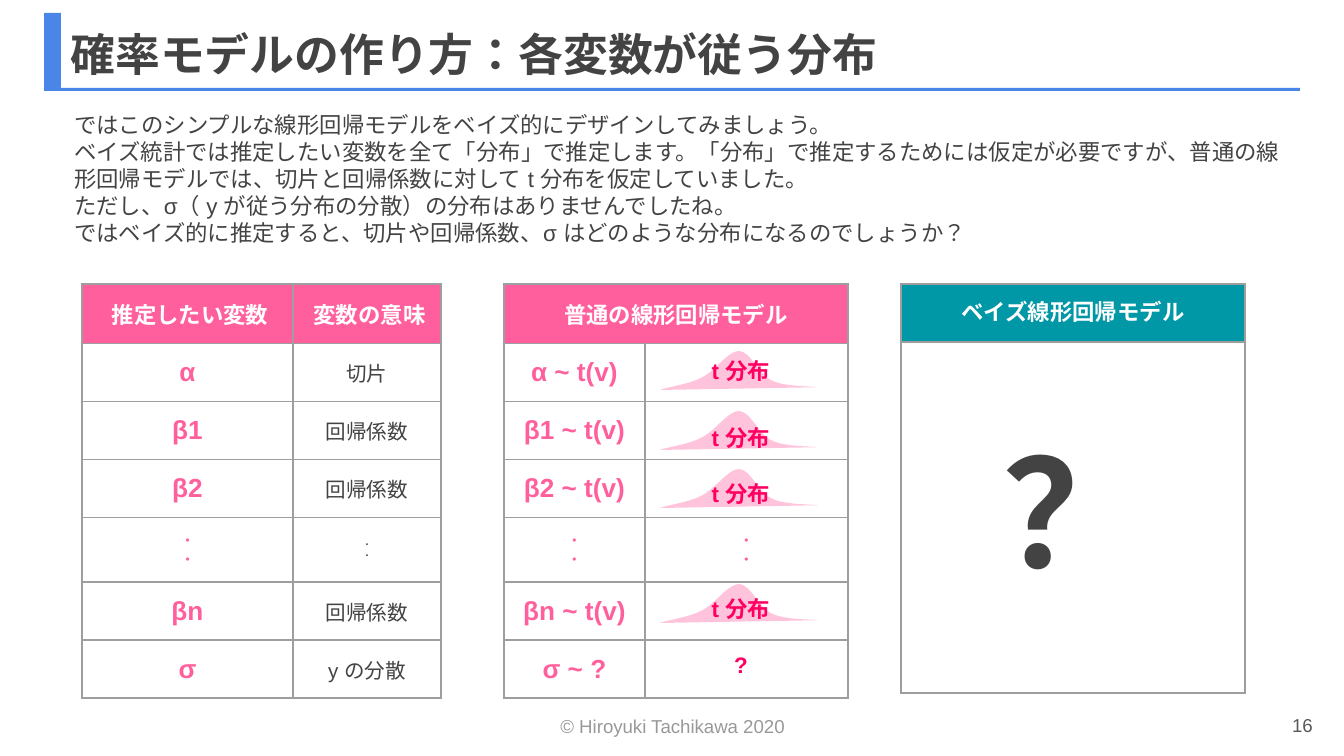
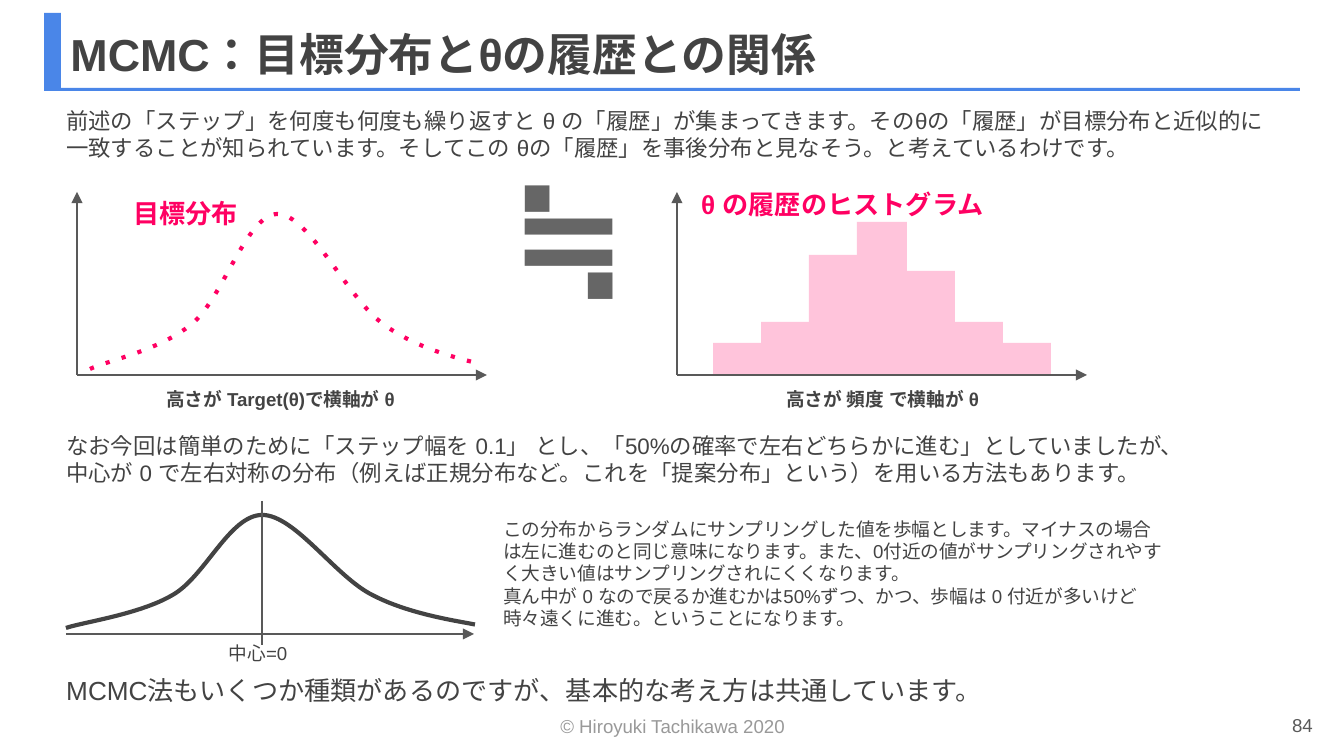
import pptx
import pptx.dml.color
import pptx.enum.lang
import pptx.enum.shapes
import pptx.enum.text
import pptx.oxml.ns
import pptx.util
from lxml import etree

EMU_PER_PX = 914400 / 134.4
ALIGN = pptx.enum.text.PP_ALIGN
ANCHOR = pptx.enum.text.MSO_ANCHOR
LANGUAGE = pptx.enum.lang.MSO_LANGUAGE_ID
RECT = pptx.enum.shapes.MSO_SHAPE.RECTANGLE
STRAIGHT = pptx.enum.shapes.MSO_CONNECTOR.STRAIGHT
qn = pptx.oxml.ns.qn

INK, GRAY, AXIS, BORDER, WHITE = "434343", "999999", "595959", "9E9E9E", "FFFFFF"
BLUE, PINK, PALE, MAGENTA, TEAL = "4A86E8", "FF609D", "FFC4DB", "FF0062", "0097A7"
SANS, CJK = "Arial", "Noto Sans CJK JP"

BANDS = [(44, 13, 17, 76), (44, 88, 1256, 3)]
FOOTER = "©︎ Hiroyuki Tachikawa 2020"
TITLE_BOX = (57, 16, 1253, 75)
BODY = {"size": 12, "anchor": ANCHOR.TOP}
NOTE = {"size": 10, "align": ALIGN.CENTER}
CAPTION = {**NOTE, "bold": True}
LABEL = {"size": 12, "color": MAGENTA, "bold": True, "align": ALIGN.CENTER}
HEADING = {"size": 14, "color": MAGENTA, "bold": True}
HEADER = {"size": 12, "color": WHITE, "bold": True, "align": ALIGN.CENTER}
SYMBOL = {"size": 14, "color": PINK, "bold": True, "align": ALIGN.CENTER}
MEANING = {"size": 11, "align": ALIGN.CENTER}
DOTS = "・\n・"
PINK_DOTS = {**SYMBOL, "size": 7}
SMALL_DOTS = {**MEANING, "size": 4, "bold": True}

MODEL_INTRO = """ではこのシンプルな線形回帰モデルをベイズ的にデザインしてみましょう。
ベイズ統計では推定したい変数を全て「分布」で推定します。「分布」で推定するためには仮定が必要ですが、普通の線形回帰モデルでは、切片と回帰係数に対して t 分布を仮定していました。
ただし、σ（ y が従う分布の分散）の分布はありませんでしたね。
ではベイズ的に推定すると、切片や回帰係数、σ はどのような分布になるのでしょうか？"""
VARIABLES = [
    ("α", "切片"), ("β1", "回帰係数"), ("β2", "回帰係数"),
    (DOTS, DOTS), ("βn", "回帰係数"), ("σ", "y の分散"),
]
MODELS = ["α ~ t(v)", "β1 ~ t(v)", "β2 ~ t(v)", DOTS, "βn ~ t(v)", "σ ~ ?"]
VARIABLE_ROWS = [58, 58, 58, 58, 59, 58, 58]
T_BELL_TOPS = [351, 411, 469, 584]
T_LABELS = [("t 分布", 361), ("t 分布", 428), ("t 分布", 484),
            ("t 分布", 599), ("?", 655)]

HISTORY_INTRO = "前述の「ステップ」を何度も何度も繰り返すと θ の「履歴」が集まってきます。そのθの「履歴」が目標分布と近似的に一致することが知られています。そしてこの θの「履歴」を事後分布と見なそう。と考えているわけです。"
PROPOSAL = """なお今回は簡単のために「ステップ幅を 0.1」 とし、「50%の確率で左右どちらかに進む」としていましたが、
中心が 0 で左右対称の分布（例えば正規分布など。これを「提案分布」という）を用いる方法もあります。"""
STRIDE = """この分布からランダムにサンプリングした値を歩幅とします。マイナスの場合は左に進むのと同じ意味になります。また、0付近の値がサンプリングされやすく大きい値はサンプリングされにくくなります。
真ん中が 0 なので戻るか進むかは50%ずつ、かつ、歩幅は 0 付近が多いけど時々遠くに進む。ということになります。"""
HISTORY_TEXTS = [
    (HISTORY_INTRO, (53, 89, 1236, 90), {"size": 12}),
    ("目標分布", (120, 195, 160, 36), HEADING),
    ("θ の履歴のヒストグラム", (688, 186, 372, 36), HEADING),
    ("高さが Target(θ)で横軸が θ", (75, 377, 411, 44), CAPTION),
    ("高さが 頻度 で横軸が θ", (677, 377, 411, 44), CAPTION),
    (PROPOSAL, (53, 419, 1236, 75), BODY),
    ("中心=0", (182, 635, 152, 36), NOTE),
    (STRIDE, (490, 504, 690, 153), {"size": 10, "anchor": ANCHOR.TOP}),
    ("MCMC法もいくつか種類があるのですが、基本的な考え方は共通しています。",
     (53, 672, 1236, 36), {"size": 14}),
]
BAR_HEIGHTS = [33, 54, 121, 154, 105, 54, 33]
BAR_LEFT, BAR_STEP, BAR_WIDTH, BAR_BOTTOM = 713, 48, 50, 376
ARROWS = [
    (77, 375, 487, 375), (77, 375, 77, 192),
    (677, 375, 1087, 375), (677, 375, 677, 192),
    (66, 634, 474, 634),
]

BELL = [(0, 100), (4, 95), (18, 88), (26, 71), (34, 55), (40, 0), (48, 0),
        (56, 0), (66, 55), (75, 71), (84, 88), (96, 94), (100, 97)]
T_BELL = [(0, 100), (4, 93), (18, 86), (26, 69), (35, 52), (43, 0), (50, 0),
          (58, 2), (62, 61), (71, 76), (79, 92), (95, 90), (100, 93)]


def px(length):
    return pptx.util.Emu(round(length * EMU_PER_PX))


def rgb(color):
    return pptx.dml.color.RGBColor.from_string(color)


def set_all(target, values):
    for key, value in values.items():
        setattr(target, key, value)


def margins():
    return dict.fromkeys(
        ("margin_left", "margin_right", "margin_top", "margin_bottom"),
        pptx.util.Inches(0.1))


def write(frame, text, size, color=INK, bold=False, align=ALIGN.LEFT,
          latin=SANS, cjk=SANS, language=LANGUAGE.JAPANESE):
    for place, paragraph_text in enumerate(text.split("\n")):
        paragraph = frame.add_paragraph() if place else frame.paragraphs[0]
        paragraph.alignment = align
        run = paragraph.add_run()
        run.text = paragraph_text
        set_all(run.font, {"size": pptx.util.Pt(size), "bold": bold,
                           "name": latin, "language_id": language})
        run.font.color.rgb = rgb(color)
        run._r.rPr.find(qn("a:latin")).addnext(
            etree.Element(qn("a:ea"), typeface=cjk))


def fill_frame(frame, text, anchor=ANCHOR.MIDDLE, **look):
    set_all(frame, {
        **margins(), "word_wrap": True, "vertical_anchor": anchor,
        "auto_size": pptx.enum.text.MSO_AUTO_SIZE.NONE,
    })
    write(frame, text, **look)


def add_text(slide, text, box, **look):
    frame = slide.shapes.add_textbox(*map(px, box)).text_frame
    fill_frame(frame, text, **look)
    return frame


def add_block(slide, box, color):
    block = slide.shapes.add_shape(RECT, *map(px, box))
    block.shadow.inherit = False
    block.fill.solid()
    block.fill.fore_color.rgb = rgb(color)
    block.line.fill.background()
    return block


def add_line(slide, ends, width, arrow=False):
    line = slide.shapes.add_connector(STRAIGHT, *map(px, ends))
    line.line.color.rgb = rgb(AXIS)
    line.line.width = pptx.util.Pt(width)
    properties = line.element.spPr
    if arrow:
        etree.SubElement(properties.find(qn("a:ln")), qn("a:tailEnd"), type="triangle")
    etree.SubElement(properties, qn("a:effectLst"))


def round_segments(curve):
    segments = list(curve.element.iter(qn("a:lnTo")))
    for first in range(0, len(segments), 3):
        bend = etree.Element(qn("a:cubicBezTo"))
        segments[first].addprevious(bend)
        for segment in segments[first:first + 3]:
            bend.append(segment[0])
            segment.getparent().remove(segment)


def add_curve(slide, controls, box, fill=None, line=None, dash=None):
    left, top, width, height = box
    points = [(px(left + x * width / 100), px(top + y * height / 100))
              for x, y in controls]
    builder = slide.shapes.build_freeform(*points[0])
    builder.add_line_segments(points[1:], close=False)
    curve = builder.convert_to_shape()
    round_segments(curve)
    curve.shadow.inherit = False
    if fill:
        curve.fill.solid()
        curve.fill.fore_color.rgb = rgb(fill)
        curve.line.fill.background()
    else:
        curve.fill.background()
        curve.line.color.rgb = rgb(line)
        curve.line.width = pptx.util.Pt(2.25)
    if dash:
        etree.SubElement(curve.element.spPr.find(qn("a:ln")), qn("a:prstDash"), val=dash)


def add_borders(cell):
    properties = cell._tc.get_or_add_tcPr()
    for place, side in enumerate(("lnL", "lnR", "lnT", "lnB")):
        border = etree.Element(qn(f"a:{side}"), w=str(pptx.util.Pt(0.75)))
        solid = etree.SubElement(border, qn("a:solidFill"))
        etree.SubElement(solid, qn("a:srgbClr"), val=BORDER)
        properties.insert(place, border)


def add_grid(slide, left, widths, heights, rows, header_fill, cjk=CJK, merged=()):
    table = slide.shapes.add_table(
        len(heights), len(widths), px(left), px(284),
        px(sum(widths)), px(sum(heights))).table
    set_all(table, {"first_row": False, "horz_banding": False})
    for column, width in zip(table.columns, widths):
        column.width = px(width)
    for row, height in zip(table.rows, heights):
        row.height = px(height)
    for r, row in enumerate(rows):
        for c, (text, look) in enumerate(row):
            cell = table.cell(r, c)
            if r:
                cell.fill.background()
            else:
                cell.fill.solid()
                cell.fill.fore_color.rgb = rgb(header_fill)
            add_borders(cell)
            set_all(cell, {**margins(), "vertical_anchor": ANCHOR.MIDDLE})
            if text:
                write(cell.text_frame, text, cjk=cjk, **look)
            else:
                etree.SubElement(cell.text_frame.paragraphs[0]._p,
                                 qn("a:endParaRPr"), sz="1200")
    for r in merged:
        table.cell(r, 0).merge(table.cell(r, 1))


def prepare_layout(layout, slide):
    for holder in list(layout.placeholders):
        if holder.placeholder_format.idx:
            holder.element.getparent().remove(holder.element)
    set_all(layout.placeholders[0],
            dict(zip(("left", "top", "width", "height"), map(px, TITLE_BOX))))
    for band in BANDS:
        layout.shapes.element.append(add_block(slide, band, BLUE).element)
    add_text(slide, FOOTER, (91, 708, 1163, 36), size=10, color=GRAY, align=ALIGN.CENTER)
    layout.shapes.element.append(slide.shapes[-1].element)


def start_slide(slide, title, number):
    fill_frame(slide.shapes.title.text_frame, title, size=24, bold=True)
    add_text(slide, number, (1245, 707, 81, 36), size=10, color=AXIS, align=ALIGN.RIGHT)


def build_models(slide):
    start_slide(slide, "確率モデルの作り方：各変数が従う分布", "16")
    add_text(slide, MODEL_INTRO, (61, 98, 1238, 148), **BODY)
    empty = ("", {})
    variables = [[(" 推定したい変数", HEADER), (" 変数の意味", HEADER)]]
    models = [[("普通の線形回帰モデル", HEADER), empty]]
    for (symbol, meaning), model in zip(VARIABLES, MODELS):
        dots = symbol == DOTS
        look = PINK_DOTS if dots else SYMBOL
        variables.append([(symbol, look), (meaning, SMALL_DOTS if dots else MEANING)])
        models.append([(model, look), (DOTS, look) if dots else empty])
    bayes = [[("ベイズ線形回帰モデル", HEADER), empty], [empty, empty]]
    add_grid(slide, 82, (211, 148), VARIABLE_ROWS, variables, PINK)
    add_grid(slide, 504, (141, 203), VARIABLE_ROWS, models, PINK, merged=(0,))
    add_grid(slide, 901, (141, 203), (58, 351), bayes, TEAL, cjk=SANS, merged=(0, 1))
    for top in T_BELL_TOPS:
        add_curve(slide, T_BELL, (660, top, 158, 39), fill=PALE)
    for text, top in T_LABELS:
        add_text(slide, text, (670, top, 142, 20), **LABEL)
    add_text(slide, "？", (954, 426, 247, 165), size=80, bold=True, align=ALIGN.CENTER,
             language=LANGUAGE.SIMPLIFIED_CHINESE)


def build_history(slide):
    start_slide(slide, "MCMC：目標分布とθの履歴との関係", "84")
    for place, height in enumerate(BAR_HEIGHTS):
        left = BAR_LEFT + place * BAR_STEP
        add_block(slide, (left, BAR_BOTTOM - height, BAR_WIDTH, height), PALE)
    add_curve(slide, BELL, (90, 214, 391, 155), line=MAGENTA, dash="dot")
    add_curve(slide, BELL, (66, 515, 409, 113), line=INK)
    add_line(slide, (262, 501, 262, 645), 0.75)
    for ends in ARROWS:
        add_line(slide, ends, 1.5, arrow=True)
    for text, box, look in HISTORY_TEXTS:
        add_text(slide, text, box, **look)
    nearly_equal = add_text(slide, "≒", (456, 223, 226, 129), size=75, color="666666",
                            bold=True, align=ALIGN.CENTER, latin=CJK, cjk=CJK)
    nearly_equal.margin_bottom = px(43)
    set_all(nearly_equal.paragraphs[0],
            {"line_spacing": 0.27, "space_before": pptx.util.Pt(5)})


def main():
    deck = pptx.Presentation()
    set_all(deck, {"slide_width": px(1344), "slide_height": px(756)})
    layout = deck.slide_layouts[5]
    models, history = [deck.slides.add_slide(layout) for _ in range(2)]
    prepare_layout(layout, models)
    build_models(models)
    build_history(history)
    deck.save("out.pptx")


if __name__ == "__main__":
    main()
